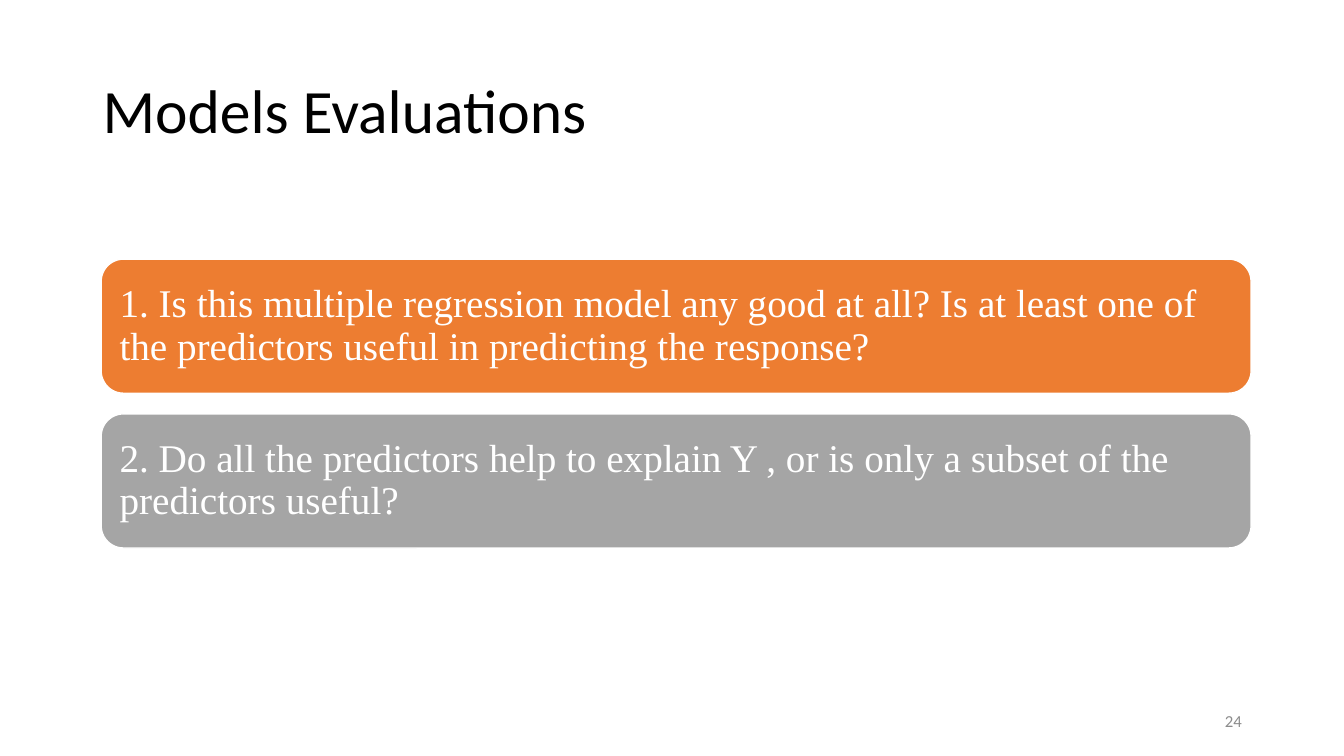
import pptx
import pptx.util
import pptx.dml.color
import pptx.enum.shapes
import pptx.enum.text

Cm = pptx.util.Cm
Pt = pptx.util.Pt
RGBColor = pptx.dml.color.RGBColor
ALIGN = pptx.enum.text.PP_ALIGN
ANCHOR = pptx.enum.text.MSO_ANCHOR

BLACK = RGBColor(0x00, 0x00, 0x00)
WHITE = RGBColor(0xFF, 0xFF, 0xFF)
ORANGE = RGBColor(0xED, 0x7D, 0x31)
GRAY = RGBColor(0xA5, 0xA5, 0xA5)
NUMBER_GRAY = RGBColor(0x8C, 0x8C, 0x8C)

TITLE_FONT = {"name": "Calibri", "size": Pt(44)}
QUESTION_FONT = {"name": "Times New Roman", "size": Pt(28)}
NUMBER_FONT = {"name": "Calibri", "size": Pt(12)}

QUESTIONS = [
    ("1. Is this multiple regression model any good at all? Is at least one of "
     "the predictors useful in predicting the response?", ORANGE),
    ("2. Do all the predictors help to explain Y , or is only a subset of the "
     "predictors useful?", GRAY),
]
QUESTION_TOP = Cm(6.53)
QUESTION_PITCH = Cm(3.9)


def set_attributes(target, values):
    for name, value in values.items():
        setattr(target, name, value)


def write_text(shape, text, font, color, alignment=ALIGN.LEFT, line_spacing=1.0):
    set_attributes(shape.text_frame, {
        "text": text,
        "word_wrap": True,
        "auto_size": pptx.enum.text.MSO_AUTO_SIZE.NONE,
        "vertical_anchor": ANCHOR.MIDDLE,
    })
    paragraph = shape.text_frame.paragraphs[0]
    set_attributes(paragraph, {"alignment": alignment, "line_spacing": line_spacing})
    set_attributes(paragraph.font, font)
    paragraph.font.color.rgb = color


def add_title(slide, text):
    title = slide.shapes.title
    set_attributes(title, {"left": Cm(2.33), "top": Cm(1.01),
                           "width": Cm(29.21), "height": Cm(3.68)})
    write_text(title, text, TITLE_FONT, BLACK, line_spacing=0.9)


def add_question(slide, text, fill_color, top):
    box = slide.shapes.add_shape(pptx.enum.shapes.MSO_SHAPE.ROUNDED_RECTANGLE,
                                 Cm(2.55), top, Cm(28.98), Cm(3.38))
    box.shadow.inherit = False
    box.fill.solid()
    box.fill.fore_color.rgb = fill_color
    box.line.color.rgb = WHITE
    box.line.width = Pt(1)
    sides = ("margin_left", "margin_top", "margin_right", "margin_bottom")
    set_attributes(box.text_frame, dict.fromkeys(sides, Cm(0.3)))
    write_text(box, text, QUESTION_FONT, WHITE, line_spacing=0.9)


def add_slide_number(slide, number):
    box = slide.shapes.add_textbox(Cm(23.93), Cm(17.65), Cm(7.62), Cm(1.02))
    write_text(box, number, NUMBER_FONT, NUMBER_GRAY, ALIGN.RIGHT)


def main():
    presentation = pptx.Presentation()
    presentation.slide_width = Cm(33.87)
    presentation.slide_height = Cm(19.05)
    slide = presentation.slides.add_slide(presentation.slide_layouts[5])

    # Title
    add_title(slide, "Models Evaluations")

    # Stacked questions
    for index, (text, fill_color) in enumerate(QUESTIONS):
        add_question(slide, text, fill_color, QUESTION_TOP + index * QUESTION_PITCH)

    # Footer
    add_slide_number(slide, "24")

    presentation.save("out.pptx")


if __name__ == "__main__":
    main()
